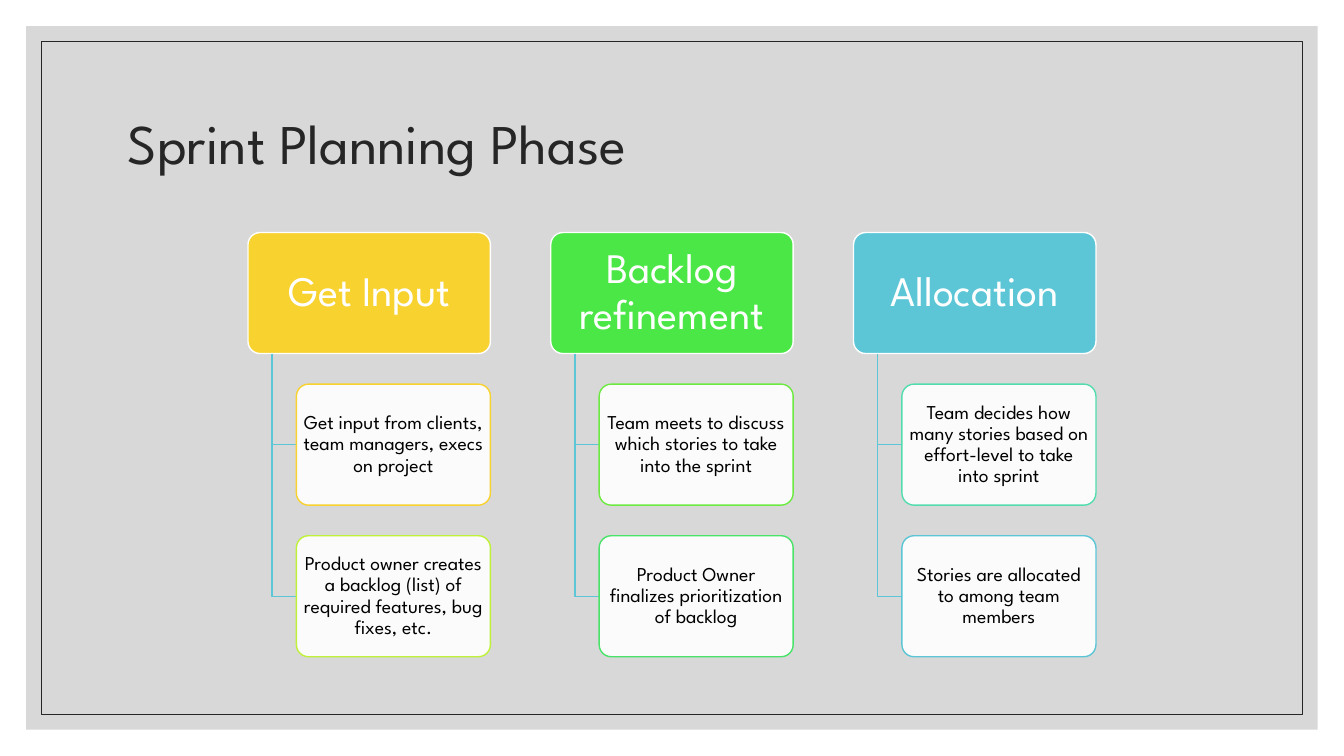
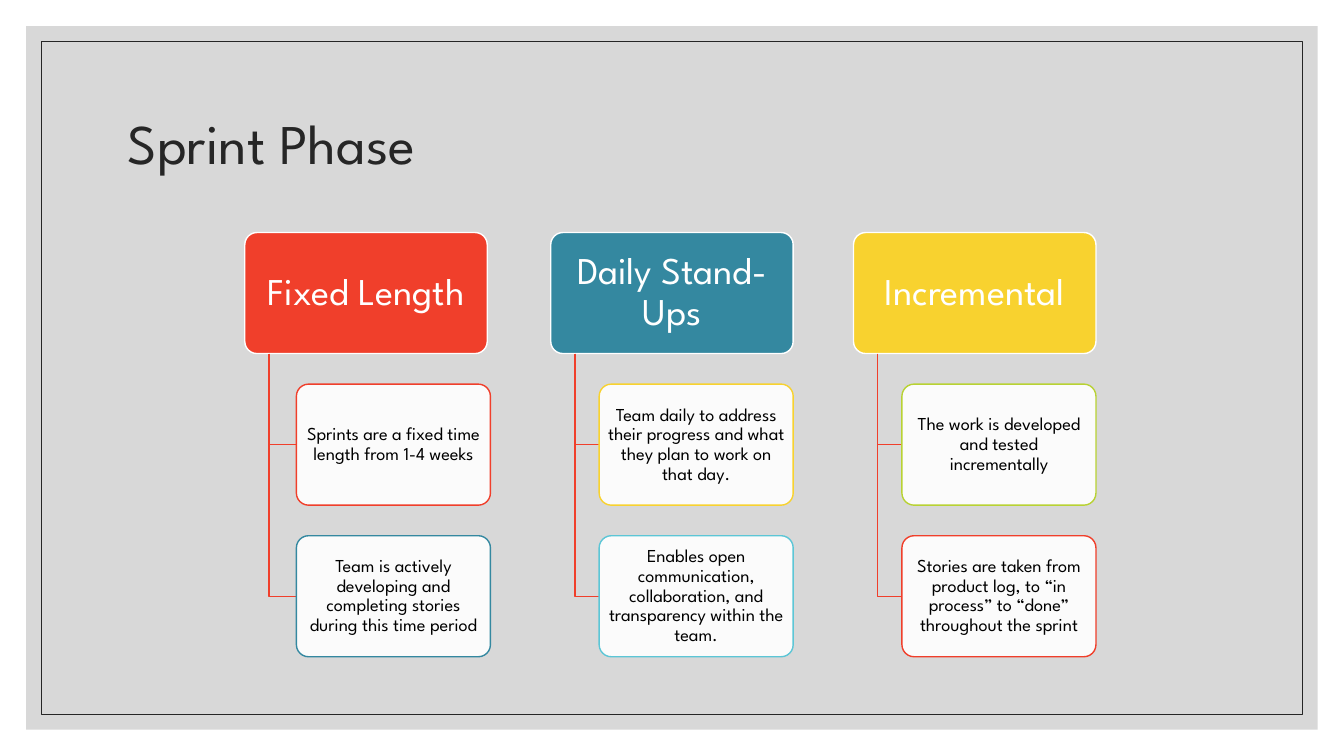
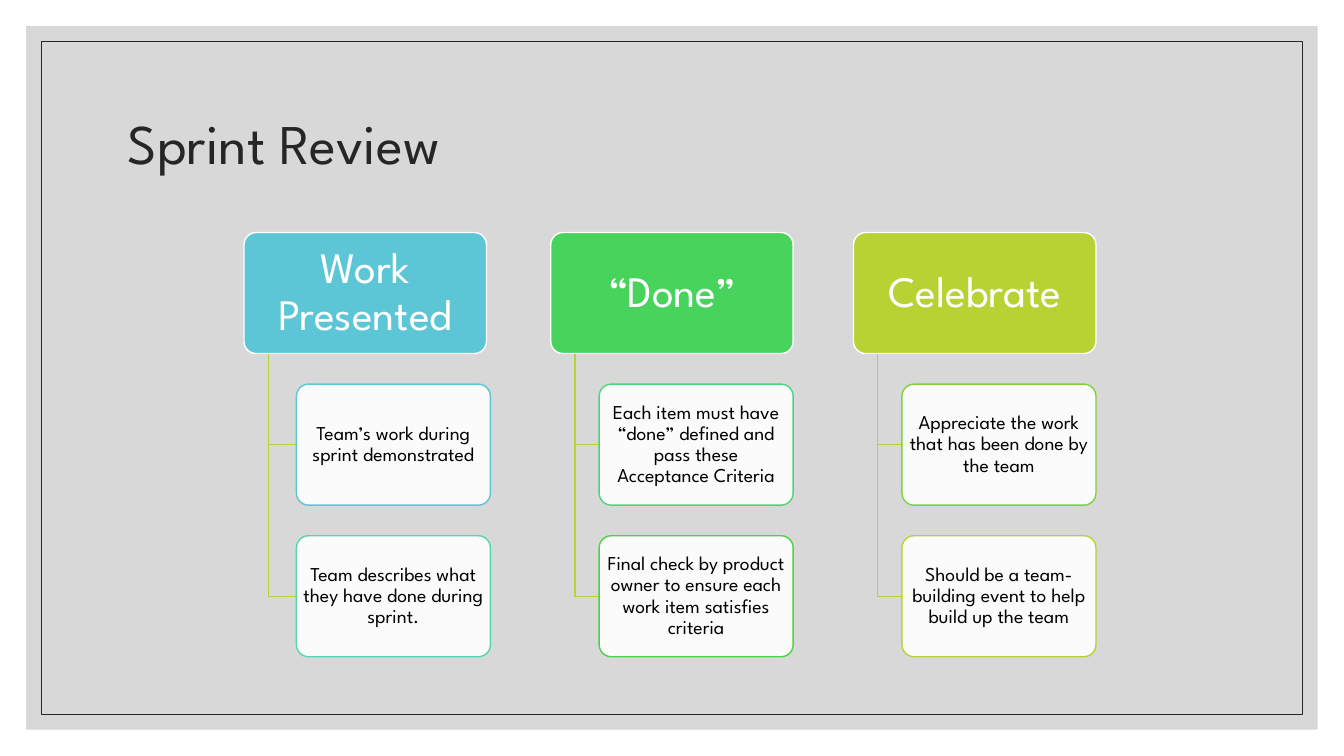
from lxml.etree import SubElement
from pptx import Presentation
from pptx.dml.color import RGBColor
from pptx.enum.shapes import MSO_SHAPE as Shape
from pptx.enum.text import MSO_ANCHOR as Anchor, PP_ALIGN as Align
from pptx.oxml.ns import qn
from pptx.util import Cm, Pt

FONT = "League Spartan"
INK = RGBColor(0x26, 0x26, 0x26)
BLACK = RGBColor(0x00, 0x00, 0x00)
WHITE = RGBColor(0xFF, 0xFF, 0xFF)
GRAY = RGBColor(0xBF, 0xBF, 0xBF)
YELLOW = RGBColor(0xF8, 0xD2, 0x2F)
LEMON = RGBColor(0xBE, 0xF1, 0x38)
OLIVE = RGBColor(0xB8, 0xD2, 0x33)
RED = RGBColor(0xF0, 0x3F, 0x2B)
TEAL = RGBColor(0x34, 0x88, 0xA0)
SKY = RGBColor(0x5C, 0xC6, 0xD6)
AQUA = RGBColor(0x53, 0xDD, 0xAF)
SEA = RGBColor(0x54, 0xD5, 0xB3)
BRIGHT_GREEN = RGBColor(0x4B, 0xE7, 0x46)
LIME = RGBColor(0x6D, 0xEA, 0x41)
EMERALD = RGBColor(0x4A, 0xE3, 0x69)
GREEN = RGBColor(0x48, 0xD4, 0x5C)
JADE = RGBColor(0x4C, 0xD4, 0x7B)
GRASS = RGBColor(0x4B, 0xD3, 0x44)
LEAF = RGBColor(0x7E, 0xD3, 0x3B)

# Each column: heading, its fill, then (text, outline colour) for each item.
PHASES = [
    dict(title="Sprint Planning Phase", branch=SKY, head_size=30, item_size=14, first_shift=0, columns=[
        ("Get Input", YELLOW, [
            ("Get input from clients, team managers, execs on project", YELLOW),
            ("Product owner creates a backlog (list) of required features, bug fixes, etc.", LEMON)]),
        ("Backlog refinement", BRIGHT_GREEN, [
            ("Team meets to discuss which stories to take into the sprint", LIME),
            ("Product Owner finalizes prioritization of backlog", EMERALD)]),
        ("Allocation", SKY, [
            ("Team decides how many stories based on effort-level to take into sprint", AQUA),
            ("Stories are allocated to among team members", SKY)]),
    ]),
    dict(title="Sprint Phase", branch=RED, head_size=27, item_size=13, first_shift=-0.08, columns=[
        ("Fixed Length", RED, [
            ("Sprints are a fixed time length from 1-4 weeks", RED),
            ("Team is actively developing and completing stories during this time period", TEAL)]),
        ("Daily Stand-Ups", TEAL, [
            ("Team daily to address their progress and what they plan to work on that day.", YELLOW),
            ("Enables open communication, collaboration, and transparency within the team.", SKY)]),
        ("Incremental", YELLOW, [
            ("The work is developed and tested incrementally", OLIVE),
            ("Stories are taken from product log, to “in process” to “done” throughout the sprint", RED)]),
    ]),
    dict(title="Sprint Review", branch=OLIVE, head_size=31, item_size=14, first_shift=-0.1, columns=[
        ("Work Presented", SKY, [
            ("Team’s work during sprint demonstrated", SKY),
            ("Team describes what they have done during sprint.", SEA)]),
        ("“Done”", GREEN, [
            ("Each item must have “done” defined and pass these Acceptance Criteria", JADE),
            ("Final check by product owner to ensure each work item satisfies criteria", GRASS)]),
        ("Celebrate", OLIVE, [
            ("Appreciate the work that has been done by the team", LEAF),
            ("Should be a team-building event to help build up the team", OLIVE)]),
    ]),
]

# Lengths in centimetres
SLIDE_WIDTH, SLIDE_HEIGHT = 33.87, 19.05
BAND_MARGIN, FRAME_MARGIN = 0.66, 1.04
GRID_LEFT, GRID_TOP = 6.25, 5.86
COLUMN_PITCH, ROW_PITCH = 7.63, 3.82
BOX_HEIGHT, HEAD_WIDTH, ITEM_WIDTH = 3.05, 6.11, 4.89
ITEM_INDENT = HEAD_WIDTH - ITEM_WIDTH
SPINE_INDENT = ITEM_INDENT / 2


def write(box, text, size, color, align=Align.CENTER, inset=(0.25, 0.13)):
    frame = box.text_frame
    frame.word_wrap = True
    frame.vertical_anchor = Anchor.MIDDLE
    frame.margin_left = frame.margin_right = Cm(inset[0])
    frame.margin_top = frame.margin_bottom = Cm(inset[1])
    para = frame.paragraphs[0]
    para.alignment = align
    para.line_spacing = 0.9
    span = para.add_run()
    span.text = text
    span.font.name = FONT
    span.font.size = Pt(size)
    span.font.color.rgb = color


def paint(shape, fill=None, opacity=100, line=None, line_width=1):
    shape.shadow.inherit = False
    if fill is None:
        shape.fill.background()
    else:
        shape.fill.solid()
        shape.fill.fore_color.rgb = fill
        if opacity < 100:
            color = shape.element.spPr.find(qn("a:solidFill"))[0]
            SubElement(color, qn("a:alpha"), val=str(opacity * 1000))
    if line is None:
        shape.line.fill.background()
    else:
        shape.line.color.rgb = line
        shape.line.width = Pt(line_width)


def add_panel(page, margin, **style):
    """Rectangle that keeps the same margin to every slide edge."""
    panel = page.shapes.add_shape(Shape.RECTANGLE, Cm(margin), Cm(margin),
                                  Cm(SLIDE_WIDTH - 2 * margin), Cm(SLIDE_HEIGHT - 2 * margin))
    paint(panel, **style)


def add_card(page, left, top, width, text, size, color, inset, **style):
    card = page.shapes.add_shape(Shape.ROUNDED_RECTANGLE, Cm(left), Cm(top), Cm(width), Cm(BOX_HEIGHT))
    card.adjustments[0] = 0.1
    paint(card, **style)
    write(card, text, size, color, inset=inset)


def add_branch(page, left, top, right, bottom, color):
    """Line that runs down from a heading and turns right into an item."""
    outline = page.shapes.build_freeform(Cm(left), Cm(top))
    outline.add_line_segments([(Cm(left), Cm(bottom)), (Cm(right), Cm(bottom))], close=False)
    paint(outline.convert_to_shape(), line=color)


def add_base(deck, title):
    page = deck.slides.add_slide(deck.slide_layouts[6])
    add_panel(page, BAND_MARGIN, fill=GRAY, opacity=60)
    add_panel(page, FRAME_MARGIN, line=INK, line_width=0.5)
    box = page.shapes.add_textbox(Cm(2.97), Cm(1.78), Cm(27.94), Cm(3.81))
    write(box, title, 40, INK, align=Align.LEFT)
    return page


def add_column(page, phase, index):
    heading, fill, items = phase["columns"][index]
    left = GRID_LEFT + index * COLUMN_PITCH
    head_left = left + (phase["first_shift"] if index == 0 else 0)
    add_card(page, head_left, GRID_TOP, HEAD_WIDTH, heading, phase["head_size"], WHITE,
             (0.15, 0.1), fill=fill, line=WHITE)
    item_left = left + ITEM_INDENT
    for row, (text, outline) in enumerate(items, start=1):
        top = GRID_TOP + row * ROW_PITCH
        add_branch(page, head_left + SPINE_INDENT, GRID_TOP + BOX_HEIGHT,
                   item_left, top + BOX_HEIGHT / 2, phase["branch"])
        add_card(page, item_left, top, ITEM_WIDTH, text, phase["item_size"], BLACK,
                 (0.08, 0.05), fill=WHITE, opacity=90, line=outline)


def main():
    deck = Presentation()
    deck.slide_width, deck.slide_height = Cm(SLIDE_WIDTH), Cm(SLIDE_HEIGHT)
    for phase in PHASES:
        page = add_base(deck, phase["title"])
        for index in range(len(phase["columns"])):
            add_column(page, phase, index)
    deck.save("out.pptx")


if __name__ == "__main__":
    main()
